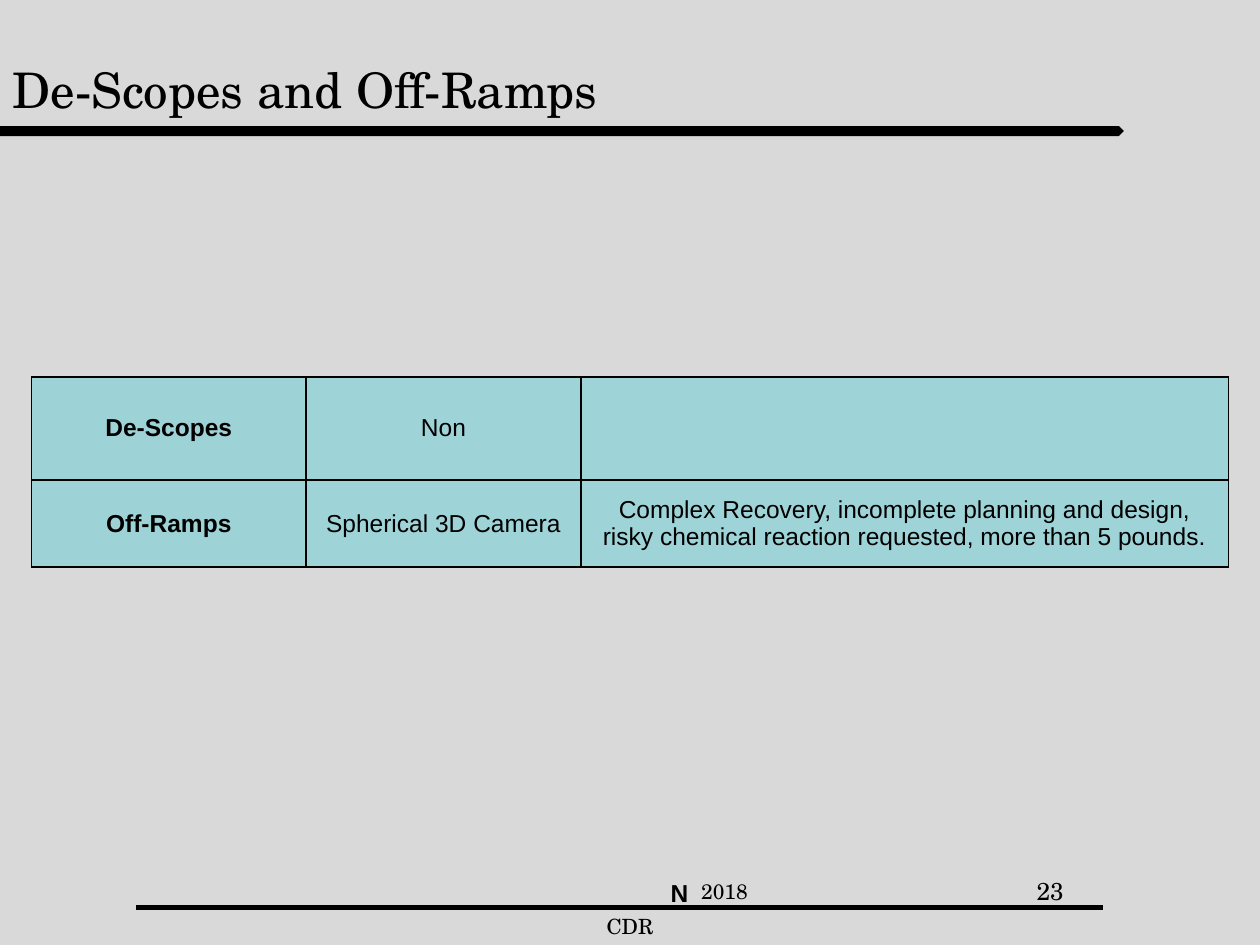
from dataclasses import dataclass

import lxml.etree
import pptx
import pptx.dml.color
import pptx.enum.shapes
import pptx.enum.text
import pptx.oxml
import pptx.oxml.ns
import pptx.util

SLIDE_WIDTH = pptx.util.Inches(10)
SLIDE_HEIGHT = pptx.util.Inches(7.5)
ALIGN = pptx.enum.text.PP_ALIGN
MIDDLE = pptx.enum.text.MSO_ANCHOR.MIDDLE


@dataclass(frozen=True)
class Theme:
    background: str = "D9D9D9"
    ink: str = "000000"
    label_fill: str = "9DD2D6"
    cell_fill: str = "9ED3D7"
    serif: str = "TeX Gyre Schola"
    sans: str = "Arial"
    title_size: int = 28
    body_size: int = 14
    footer_size: int = 12
    border_width: int = 1
    rule_width: int = 3


THEME = Theme()

TABLE_ROWS = [
    ["De-Scopes", "Non", ""],
    ["Off-Ramps", "Spherical 3D Camera",
     "Complex Recovery, incomplete planning and design, "
     "risky chemical reaction requested, more than 5 pounds."],
]
COLUMN_WIDTHS = [2.18, 2.18, 5.14]
ROW_HEIGHTS = [0.82, 0.69]


def color(value):
    return pptx.dml.color.RGBColor.from_string(value)


def box(left, top, width, height):
    """Turn a frame in inches into slide lengths."""
    return [pptx.util.Inches(length) for length in (left, top, width, height)]


def write(text_frame, text, font_name, size, bold=False, align=ALIGN.CENTER):
    text_frame.word_wrap = True
    paragraph = text_frame.paragraphs[0]
    paragraph.alignment = align
    run = paragraph.add_run()
    run.text = text
    run.font.name = font_name
    run.font.size = pptx.util.Pt(size)
    run.font.bold = bold
    run.font.color.rgb = color(THEME.ink)


def add_title(slide, text):
    title = slide.shapes.title
    title.left, title.top, title.width, title.height = box(0, 0.08, 9, 1.25)
    title.text_frame.vertical_anchor = MIDDLE
    title.text_frame.auto_size = pptx.enum.text.MSO_AUTO_SIZE.NONE
    write(title.text_frame, text, THEME.serif, THEME.title_size, align=ALIGN.LEFT)


def add_title_bar(slide):
    bar = slide.shapes.add_shape(
        pptx.enum.shapes.MSO_SHAPE.PENTAGON, *box(0, 1, 8.92, 0.08))
    bar.shadow.inherit = False
    bar.fill.solid()
    bar.fill.fore_color.rgb = color(THEME.ink)
    bar.line.fill.background()


def add_label(slide, frame, text, font_name, size, bold=False):
    label = slide.shapes.add_textbox(*box(*frame))
    write(label.text_frame, text, font_name, size, bold)


def add_footer_rule(slide):
    start_x, start_y, end_x, end_y = box(1.08, 7.2, 8.75, 7.2)
    rule = slide.shapes.add_connector(
        pptx.enum.shapes.MSO_CONNECTOR.STRAIGHT, start_x, start_y, end_x, end_y)
    rule.line.color.rgb = color(THEME.ink)
    rule.line.width = pptx.util.Pt(THEME.rule_width)
    lxml.etree.SubElement(
        rule._element.spPr, pptx.oxml.ns.qn("a:effectLst"))


def set_borders(cell):
    properties = cell._tc.get_or_add_tcPr()
    width = pptx.util.Pt(THEME.border_width)
    for position, side in enumerate(("lnL", "lnR", "lnT", "lnB")):
        border = pptx.oxml.parse_xml(
            f'<a:{side} {pptx.oxml.ns.nsdecls("a")} w="{width}"><a:solidFill>'
            f'<a:srgbClr val="{THEME.ink}"/></a:solidFill></a:{side}>')
        properties.insert(position, border)


def add_decision_table(slide):
    frame = box(0.25, 2.99, sum(COLUMN_WIDTHS), sum(ROW_HEIGHTS))
    table = slide.shapes.add_table(
        len(ROW_HEIGHTS), len(COLUMN_WIDTHS), *frame).table
    table.first_row = table.horz_banding = False
    for column, width in zip(table.columns, COLUMN_WIDTHS):
        column.width = pptx.util.Inches(width)
    for row, height, texts in zip(table.rows, ROW_HEIGHTS, TABLE_ROWS):
        row.height = pptx.util.Inches(height)
        for index, (cell, text) in enumerate(zip(row.cells, texts)):
            is_label = index == 0
            cell.vertical_anchor = MIDDLE
            cell.fill.solid()
            cell.fill.fore_color.rgb = color(
                THEME.label_fill if is_label else THEME.cell_fill)
            set_borders(cell)
            if text:
                write(cell.text_frame, text, THEME.sans, THEME.body_size, is_label)


def main():
    presentation = pptx.Presentation()
    presentation.slide_width = SLIDE_WIDTH
    presentation.slide_height = SLIDE_HEIGHT
    slide = presentation.slides.add_slide(presentation.slide_layouts[5])
    slide.background.fill.solid()
    slide.background.fill.fore_color.rgb = color(THEME.background)

    # Footer
    add_label(slide, (4.25, 6.92, 3, 0.3), "2018", THEME.serif, THEME.footer_size)
    add_footer_rule(slide)
    add_label(slide, (3.5, 7.2, 3, 0.3), "CDR", THEME.serif, THEME.footer_size)
    add_label(slide, (3.92, 6.92, 3, 0.34), "N ", THEME.sans, THEME.body_size, True)
    add_label(slide, (7.17, 6.9, 2.33, 0.52), "23", THEME.serif, THEME.body_size)

    # Heading
    add_title_bar(slide)
    add_title(slide, "De-Scopes and Off-Ramps")

    # Content
    add_decision_table(slide)
    presentation.save("out.pptx")


if __name__ == "__main__":
    main()
